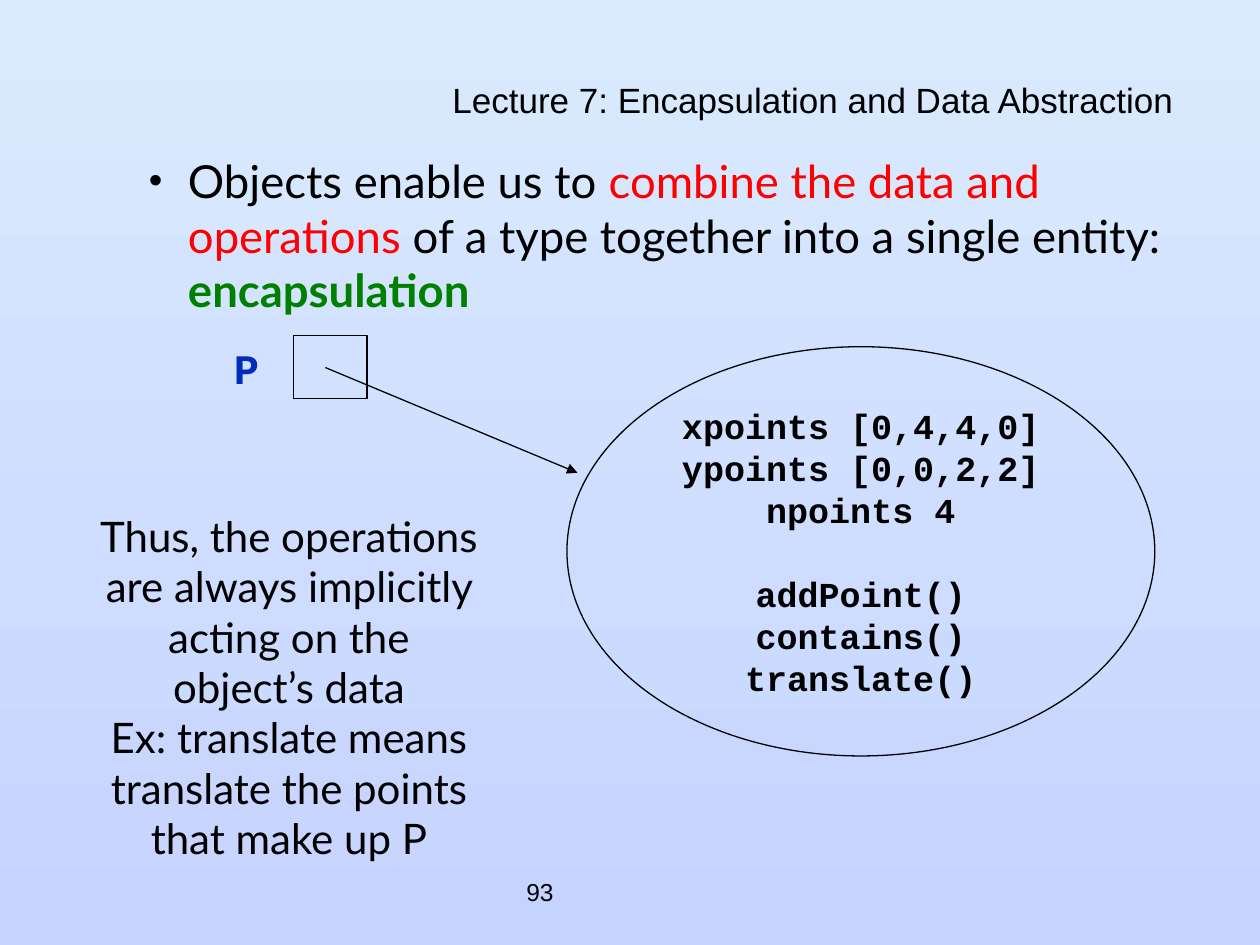
import pptx
import pptx.dml.color
import pptx.enum.shapes
import pptx.enum.text
import pptx.oxml
import pptx.oxml.ns
import pptx.util
from pptx.util import Cm

ALIGN = pptx.enum.text.PP_ALIGN
ANCHOR = pptx.enum.text.MSO_ANCHOR
SHAPE = pptx.enum.shapes.MSO_SHAPE
BLACK, RED, GREEN, BLUE = "000000", "FF0000", "008000", "002DB9"


def color(value):
    return pptx.dml.color.RGBColor.from_string(value)


def add_xml(parent, xml):
    """Append a DrawingML element to parent."""
    tag, rest = xml.split(" ", 1)
    namespace = pptx.oxml.ns.nsdecls("a")
    parent.append(pptx.oxml.parse_xml(f"<a:{tag} {namespace} {rest}"))


class SlideBuilder:
    body_font, code_font, plain_font = "Lato", "Courier New", "Arial"
    line_width = pptx.util.Pt(0.75)

    def __init__(self, slide):
        self.slide = slide

    def background(self, top, bottom):
        fill = self.slide.background.fill
        fill.gradient()
        fill.gradient_angle = 270
        for stop, value in zip(fill.gradient_stops, (top, bottom)):
            stop.color.rgb = color(value)

    def format_run(self, run, font, size, value=BLACK, bold=False):
        run.font.name = font
        run.font.size = pptx.util.Pt(size)
        run.font.color.rgb = color(value)
        run.font.bold = bold

    def fill_text(self, shape, text, font, size, value=BLACK, bold=False,
                  align=ALIGN.CENTER, anchor=ANCHOR.MIDDLE, wrap=True):
        frame = shape.text_frame
        frame.word_wrap = wrap
        frame.vertical_anchor = anchor
        frame.text = text
        for paragraph in frame.paragraphs:
            paragraph.alignment = align
            for run in paragraph.runs:
                self.format_run(run, font, size, value, bold)
        return frame.paragraphs

    def text(self, box, text, font, size, **style):
        shape = self.slide.shapes.add_textbox(*map(Cm, box))
        return self.fill_text(shape, text, font, size, **style)

    def bullet(self, box, parts, size):
        """One bulleted paragraph made of (text, colour, bold) parts."""
        shape = self.slide.shapes.add_textbox(*map(Cm, box))
        shape.text_frame.word_wrap = True
        paragraph = shape.text_frame.paragraphs[0]
        paragraph.space_before = pptx.util.Pt(0.2 * size)
        for text, value, bold in parts:
            run = paragraph.add_run()
            run.text = text
            self.format_run(run, self.body_font, size, value, bold)
        properties = paragraph._p.get_or_add_pPr()
        properties.set("marL", str(Cm(2.06)))
        properties.set("indent", str(Cm(-0.79)))
        add_xml(properties, f'buClr ><a:srgbClr val="{BLACK}"/></a:buClr>')
        add_xml(properties, 'buSzPct val="85000"/>')
        add_xml(properties, 'buFont typeface="Arial"/>')
        add_xml(properties, 'buChar char="•"/>')

    def outline(self, kind, box):
        shape = self.slide.shapes.add_shape(kind, *map(Cm, box))
        shape.shadow.inherit = False
        shape.fill.background()
        shape.line.color.rgb = color(BLACK)
        shape.line.width = self.line_width
        return shape

    def arrow(self, start, end):
        connector = self.slide.shapes.add_connector(
            pptx.enum.shapes.MSO_CONNECTOR.STRAIGHT, *map(Cm, start + end))
        connector.line.color.rgb = color(BLACK)
        connector.line.width = self.line_width
        add_xml(connector.line._get_or_add_ln(),
                'tailEnd type="triangle" w="med" len="med"/>')
        add_xml(connector._element.spPr, "effectLst />")


def main():
    presentation = pptx.Presentation()
    presentation.slide_width, presentation.slide_height = Cm(25.4), Cm(19.05)
    slide = presentation.slides.add_slide(presentation.slide_layouts[6])
    builder = SlideBuilder(slide)
    builder.background("DAEBFE", "C5D3FF")

    # Page number and title
    builder.text((10.36, 17.35, 5.28, 1.27), "93", builder.plain_font, 14,
                 align=ALIGN.LEFT)
    title = builder.text((1.48, 1.7, 22.43, 0.84),
                         "Lecture 7: Encapsulation and Data Abstraction",
                         builder.plain_font, 20, align=ALIGN.RIGHT)
    title[0].line_spacing = 0.7

    # Main statement
    builder.bullet((1.48, 2.96, 22.43, 13.97), [
        ("Objects enable us to ", BLACK, False),
        ("combine the data and operations", RED, False),
        (" of a type together into a single entity: ", BLACK, False),
        ("encapsulation", GREEN, True),
    ], 26)

    # Variable P and its reference box
    builder.text((4.02, 6.77, 1.9, 1.27), "P", builder.code_font, 24,
                 value=BLUE, bold=True, wrap=False)
    builder.outline(SHAPE.RECTANGLE, (5.92, 6.77, 1.48, 1.27))

    # Object with its data and, after a gap, its operations
    polygon = builder.outline(SHAPE.OVAL, (11.43, 6.99, 11.85, 8.25))
    data = ["xpoints [0,4,4,0]", "ypoints [0,0,2,2]", "npoints 4"]
    operations = ["addPoint()", "contains()", "translate()"]
    members = builder.fill_text(polygon, "\n".join(data + operations),
                                builder.code_font, 20, bold=True, wrap=False)
    for paragraph in members:
        paragraph.line_spacing = pptx.util.Pt(24)
    members[len(data)].space_before = pptx.util.Pt(24)
    builder.arrow((6.56, 7.41), (11.64, 9.53))

    # Conclusion
    builder.text((1.7, 10.16, 8.25, 7.37),
                 "Thus, the operations are always implicitly acting on the "
                 "object’s data\n"
                 "Ex: translate means translate the points that make up P",
                 builder.body_font, 24)

    presentation.save("out.pptx")


if __name__ == "__main__":
    main()
